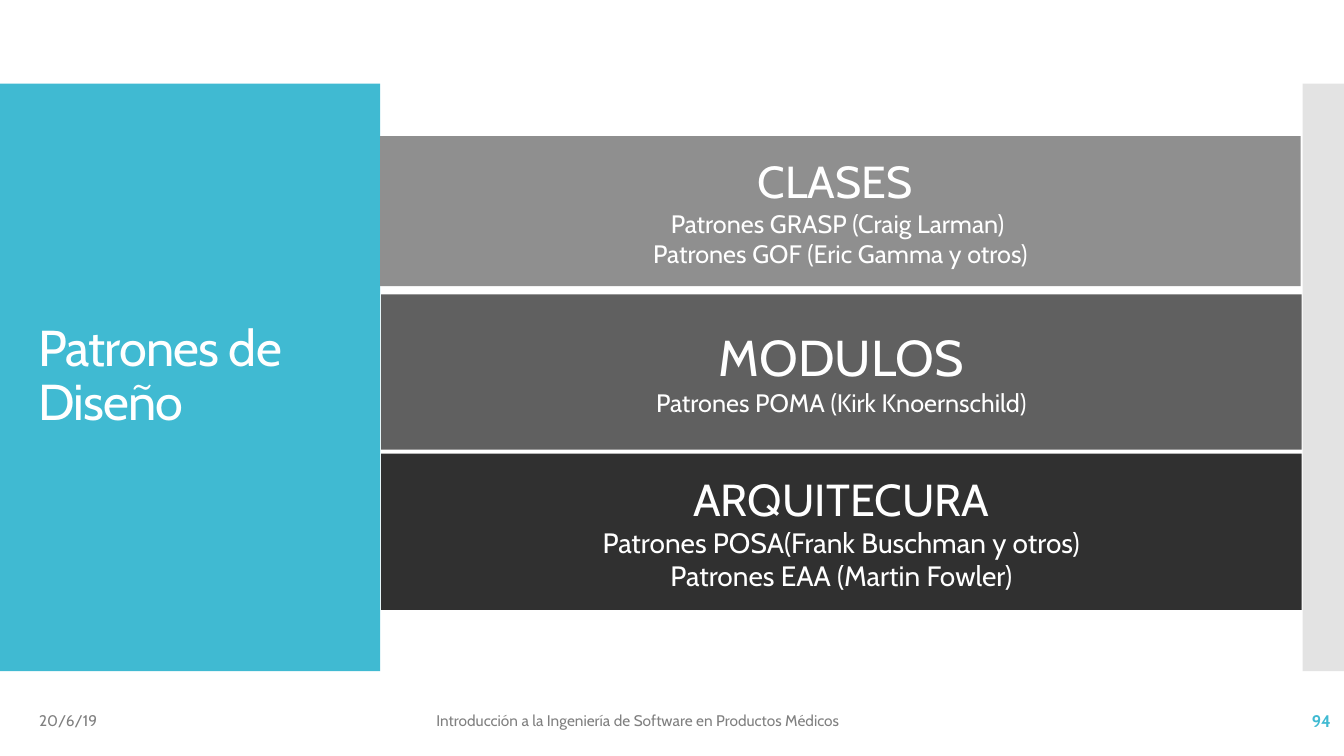
"""Build the slide on design patterns at class, module and architecture level."""
from dataclasses import dataclass

from lxml.etree import SubElement
from pptx import Presentation
from pptx.dml.color import RGBColor as Rgb
from pptx.enum.shapes import MSO_SHAPE as Kind
from pptx.enum.text import MSO_ANCHOR as Anchor, PP_ALIGN as Align
from pptx.oxml.ns import qn
from pptx.shapes.autoshape import Shape
from pptx.slide import Slide
from pptx.text.text import TextFrame as Frame
from pptx.util import Inches, Pt

FONT = "Cabin"
BLUE, GRAY, WHITE = "40BAD2", "808080", "FFFFFF"
Area = tuple[float, float, float, float]


@dataclass
class Panel:
    area: Area
    fill: str
    alpha: int = 100


@dataclass
class Band:
    panel: Panel
    head: str
    size: int
    lines: list[str]
    small: int = 18


@dataclass
class Label:
    area: Area
    text: str
    size: int = 11
    color: str = GRAY
    bold: bool = False
    align: Align = Align.LEFT
    lead: float = 1.0
    track: int = 0


PANELS = [
    Panel((0, 0.83, 3.77, 5.83), BLUE),
    Panel((12.92, 0.83, 0.42, 5.83), "C8C8C8", 50),
]
LABELS = [
    Label((0.28, 1.23, 3.22, 5.03), "Patrones de Diseño", 36, WHITE, lead=0.9, track=-60),
    Label((0.29, 6.95, 3, 0.4), "20/6/19"),
    Label((4.23, 6.95, 6.46, 0.4),
          "Introducción a la Ingeniería de Software en Productos Médicos"),
    Label((11.63, 6.95, 1.67, 0.4), "94", 12, BLUE, True, Align.RIGHT),
]
BANDS = [
    Band(Panel((3.77, 1.35, 9.13, 1.49), "8F8F8F"), "CLASES ", 32,
         ["Patrones GRASP (Craig Larman) ", "Patrones GOF (Eric Gamma y otros)"]),
    Band(Panel((3.78, 2.92, 9.13, 1.54), "606060"), "MODULOS", 36,
         ["Patrones POMA (Kirk Knoernschild)"]),
    Band(Panel((3.78, 4.5, 9.13, 1.55), "303030"), "ARQUITECURA", 32,
         ["Patrones POSA(Frank Buschman y otros)", "Patrones EAA (Martin Fowler)"], 20),
]


def paint(code: str) -> Rgb:
    return Rgb.from_string(code)


def write(frame: Frame, text: str, *, size: int, color: str = WHITE, bold: bool = False,
          align: Align = Align.CENTER, lead: float = 1.0, track: int = 0) -> None:
    frame.word_wrap = True
    frame.vertical_anchor = Anchor.MIDDLE
    para = frame.add_paragraph() if frame.text else frame.paragraphs[0]
    para.alignment = align
    para.line_spacing = lead
    run = para.add_run()
    run.text = text
    font = run.font
    font.name, font.size, font.bold = FONT, Pt(size), bold
    font.color.rgb = paint(color)
    if track:
        run._r.get_or_add_rPr().set("spc", str(track))


def block(slide: Slide, panel: Panel) -> Shape:
    shape = slide.shapes.add_shape(Kind.RECTANGLE, *map(Inches, panel.area))
    shape.shadow.inherit = False
    shape.line.fill.background()
    shape.fill.solid()
    shape.fill.fore_color.rgb = paint(panel.fill)
    if panel.alpha < 100:
        tint = shape._element.spPr.find(qn("a:solidFill"))[0]
        SubElement(tint, qn("a:alpha")).set("val", str(panel.alpha * 1000))
    return shape


def label(slide: Slide, item: Label) -> None:
    box = slide.shapes.add_textbox(*map(Inches, item.area))
    write(box.text_frame, item.text, size=item.size, color=item.color, bold=item.bold,
          align=item.align, lead=item.lead, track=item.track)


def stripe(slide: Slide, band: Band) -> None:
    frame = block(slide, band.panel).text_frame
    write(frame, band.head, size=band.size)
    for line in band.lines:
        write(frame, line, size=band.small)


def main() -> None:
    deck = Presentation()
    deck.slide_width, deck.slide_height = Inches(13.33), Inches(7.5)
    slide = deck.slides.add_slide(deck.slide_layouts[6])
    for panel in PANELS:
        block(slide, panel)
    for item in LABELS:
        label(slide, item)
    for band in BANDS:
        stripe(slide, band)
    deck.save("out.pptx")


if __name__ == "__main__":
    main()
